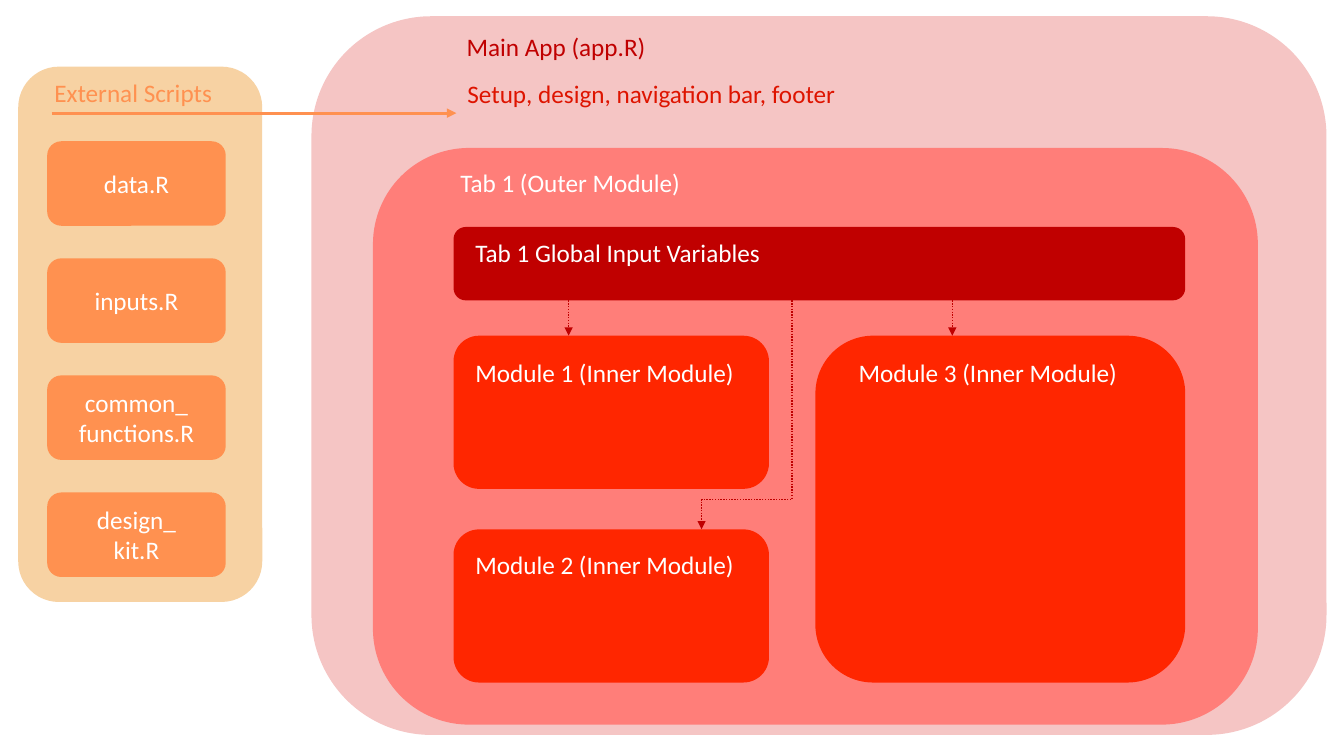
"""Build a slide showing the module structure of an R app."""
from typing import NamedTuple

from lxml import etree
from pptx import Presentation
from pptx.dml.color import RGBColor
from pptx.enum.dml import MSO_LINE
from pptx.enum.shapes import MSO_CONNECTOR, MSO_SHAPE
from pptx.enum.text import MSO_ANCHOR, PP_ALIGN
from pptx.oxml.ns import qn
from pptx.util import Cm, Pt

ROUNDED = MSO_SHAPE.ROUNDED_RECTANGLE
STRAIGHT, ELBOW = MSO_CONNECTOR.STRAIGHT, MSO_CONNECTOR.ELBOW
DOTTED = MSO_LINE.ROUND_DOT
MIDDLE = MSO_ANCHOR.MIDDLE
LEFT, CENTER = PP_ALIGN.LEFT, PP_ALIGN.CENTER

COLORS = {
    "app": "F5C5C4", "panel": "F7D2A3", "script": "FF9150", "tab": "FF7E79",
    "global": "C00000", "module": "FF2600", "setup": "DE1400", "white": "FFFFFF",
}


class Box(NamedTuple):
    left: float
    top: float
    width: float
    height: float
    color: str
    text: str = ""


class Caption(NamedTuple):
    left: float
    top: float
    width: float
    text: str
    color: str = "white"


class Arrow(NamedTuple):
    x1: float
    y1: float
    x2: float
    y2: float
    color: str = "global"
    weight: float = 1
    dotted: bool = True
    kind: int = STRAIGHT


SCRIPTS = ["data.R", "inputs.R", "common_\nfunctions.R", "design_\nkit.R"]
SCRIPT_TOP, SCRIPT_STEP = 3.56, 2.95
GLOBAL_BOTTOM, MODULE_TOP = 7.57, 8.46

BOXES = [
    Box(7.85, 0.41, 25.58, 18.11, "app"),
    Box(0.46, 1.68, 6.15, 13.49, "panel"),
    *(Box(1.19, SCRIPT_TOP + i * SCRIPT_STEP, 4.5, 2.13, "script", name)
      for i, name in enumerate(SCRIPTS)),
    Box(9.4, 3.73, 22.3, 14.53, "tab"),
    Box(11.43, 5.72, 18.44, 1.85, "global"),
    Box(11.43, MODULE_TOP, 7.95, 3.86, "module"),
    Box(11.43, 13.34, 7.95, 3.86, "module"),
    Box(20.55, MODULE_TOP, 9.32, 8.74, "module"),
]

CAPTIONS = [
    Caption(11.51, 0.66, 7.21, "Main App (app.R)", "global"),
    Caption(11.53, 1.86, 18.14, "Setup, design, navigation bar, footer", "setup"),
    Caption(1.12, 1.83, 4.93, "External Scripts", "script"),
    Caption(11.35, 4.09, 7.21, "Tab 1 (Outer Module)"),
    Caption(11.73, 5.85, 9.65, "Tab 1 Global Input Variables"),
    Caption(11.73, 8.87, 7.21, "Module 1 (Inner Module)"),
    Caption(11.73, 13.73, 7.21, "Module 2 (Inner Module)"),
    Caption(21.39, 8.87, 7.21, "Module 3 (Inner Module)"),
]

ARROWS = [
    Arrow(1.3, 2.85, 11.5, 2.85, "script", 2.25, False),
    Arrow(14.33, GLOBAL_BOTTOM, 14.33, MODULE_TOP),
    Arrow(24, GLOBAL_BOTTOM, 24, MODULE_TOP),
    Arrow(19.96, GLOBAL_BOTTOM, 17.68, 13.34, kind=ELBOW),
]


def rgb(name: str) -> RGBColor:
    """Return the named colour."""
    return RGBColor.from_string(COLORS[name])


def write(tf, text: str, color: str, align: int) -> None:
    """Fill a text frame and format its runs."""
    tf.word_wrap = True
    tf.text = text
    for p in tf.paragraphs:
        p.alignment = align
        for r in p.runs:
            r.font.name = "Calibri"
            r.font.size = Pt(18)
            r.font.color.rgb = rgb(color)


def draw_box(s, box: Box) -> None:
    """Draw a rounded box with optional centred text."""
    sp = s.shapes.add_shape(ROUNDED, Cm(box.left), Cm(box.top),
                            Cm(box.width), Cm(box.height))
    sp.shadow.inherit = False
    sp.fill.solid()
    sp.fill.fore_color.rgb = rgb(box.color)
    sp.line.fill.background()
    if box.text:
        sp.text_frame.vertical_anchor = MIDDLE
        write(sp.text_frame, box.text, "white", CENTER)


def draw_caption(s, cap: Caption) -> None:
    """Draw a left-aligned caption."""
    sp = s.shapes.add_textbox(Cm(cap.left), Cm(cap.top), Cm(cap.width), Cm(1.03))
    write(sp.text_frame, cap.text, cap.color, LEFT)


def turn_elbow(cxn, arrow: Arrow, bend: float) -> None:
    """Make an elbow leave downwards and bend at a share of its height."""
    width, height = arrow.y2 - arrow.y1, abs(arrow.x2 - arrow.x1)
    xfrm = cxn._element.spPr.find(qn("a:xfrm"))
    xfrm.attrib.pop("flipH", None)
    xfrm.set("rot", str(90 * 60000))
    cxn.left = Cm((arrow.x1 + arrow.x2 - width) / 2)
    cxn.top = Cm((arrow.y1 + arrow.y2 - height) / 2)
    cxn.width, cxn.height = Cm(width), Cm(height)
    geom = cxn._element.spPr.find(qn("a:prstGeom"))
    guides = geom.find(qn("a:avLst"))
    if guides is None:
        guides = etree.SubElement(geom, qn("a:avLst"))
    etree.SubElement(guides, qn("a:gd"), name="adj1", fmla=f"val {round(bend * 100000)}")


def draw_arrow(s, arrow: Arrow) -> None:
    """Draw a connector with a triangular head."""
    cxn = s.shapes.add_connector(arrow.kind, Cm(arrow.x1), Cm(arrow.y1),
                                 Cm(arrow.x2), Cm(arrow.y2))
    cxn.line.color.rgb = rgb(arrow.color)
    cxn.line.width = Pt(arrow.weight)
    if arrow.dotted:
        cxn.line.dash_style = DOTTED
    spPr = cxn._element.spPr
    etree.SubElement(spPr.find(qn("a:ln")), qn("a:tailEnd"), type="triangle")
    etree.SubElement(spPr, qn("a:effectLst"))
    if arrow.kind == ELBOW:
        turn_elbow(cxn, arrow, 0.87)


def main() -> None:
    """Draw the slide and save it."""
    prs = Presentation()
    prs.slide_width, prs.slide_height = Cm(33.87), Cm(19.05)
    s = prs.slides.add_slide(prs.slide_layouts[6])
    for box in BOXES:
        draw_box(s, box)
    for cap in CAPTIONS:
        draw_caption(s, cap)
    for arrow in ARROWS:
        draw_arrow(s, arrow)
    prs.save("out.pptx")


main()
